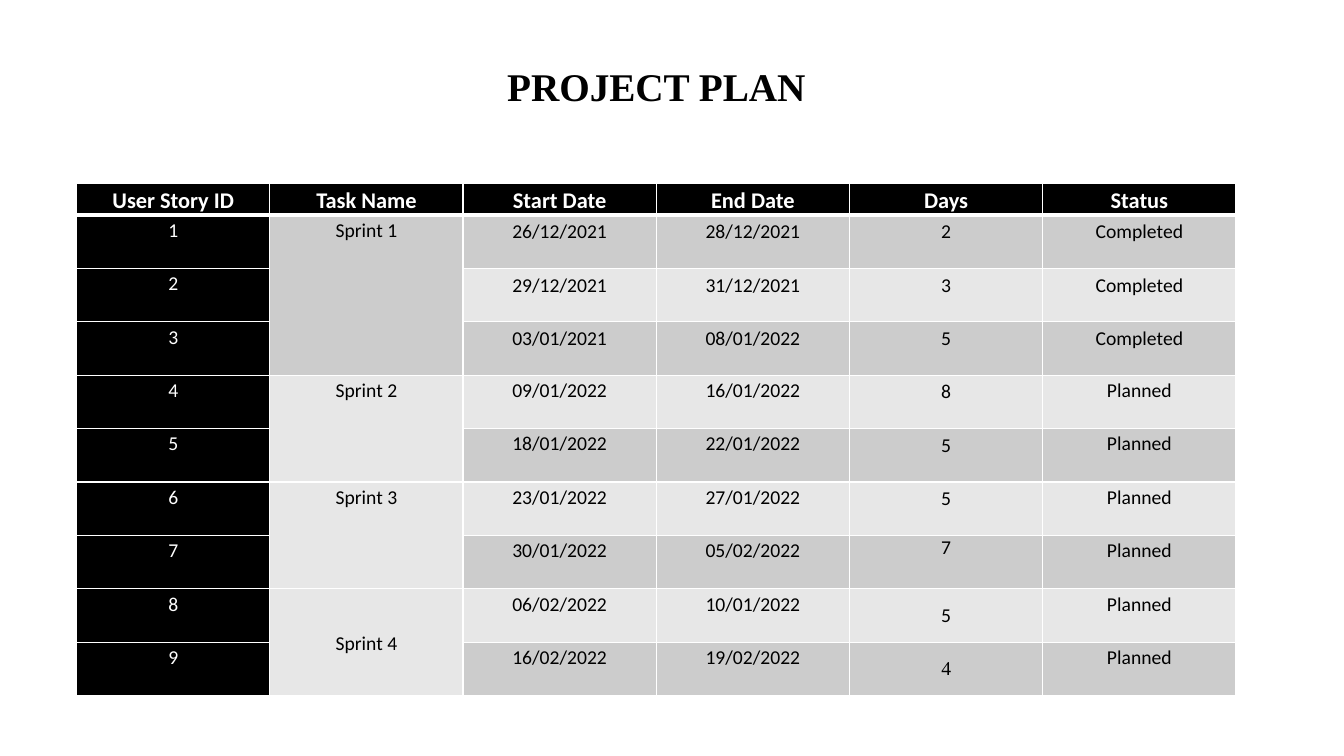
from lxml.etree import SubElement
from pptx import Presentation
from pptx.dml.color import RGBColor
from pptx.enum.text import MSO_ANCHOR, MSO_AUTO_SIZE, PP_ALIGN
from pptx.oxml import parse_xml
from pptx.oxml.ns import nsdecls, qn
from pptx.util import Inches, Pt

TITLE = "PROJECT PLAN"
HEADERS = ["User Story ID", "Task Name", "Start Date", "End Date", "Days", "Status"]
SPRINTS = {
    "Sprint 1": [
        ("26/12/2021", "28/12/2021", "2", "Completed"),
        ("29/12/2021", "31/12/2021", "3", "Completed"),
        ("03/01/2021", "08/01/2022", "5", "Completed"),
    ],
    "Sprint 2": [
        ("09/01/2022", "16/01/2022", "8", "Planned"),
        ("18/01/2022", "22/01/2022", "5", "Planned"),
    ],
    "Sprint 3": [
        ("23/01/2022", "27/01/2022", "5", "Planned"),
        ("30/01/2022", "05/02/2022", "7", "Planned"),
    ],
    "Sprint 4": [
        ("06/02/2022", "10/01/2022", "5", "Planned"),
        ("16/02/2022", "19/02/2022", "4", "Planned"),
    ],
}
COLORS = {"dark": "000000", "light": "FFFFFF", "odd": "CCCCCC", "even": "E7E7E7"}
SERIF, SANS = "Times New Roman", "Calibri"
LEFT, WIDTH = 0.76, 11.5
TITLE_TOP, TITLE_HEIGHT = 0.16, 1.45
TABLE_TOP, HEADER_HEIGHT, STORY_HEIGHT = 1.82, 0.3, 0.53
TIGHT, ROOMY, MEDIUM = (0.07, 0), (0.11, 0.05), (0.1, 0.05)
ID, TASK, START, DAYS = 0, 1, 2, 4


def rgb(name):
    return RGBColor.from_string(COLORS[name])


def write(paragraph, text, size, color, bold=False, font=SANS, spacing=None):
    paragraph.alignment = PP_ALIGN.CENTER
    paragraph.line_spacing = spacing
    run = paragraph.add_run()
    run.text = text
    run.font.size = Pt(size)
    run.font.name = font
    run.font.bold = bold
    run.font.color.rgb = rgb(color)


def set_borders(cell, row):
    """Rule the cell in white, thicker on the line under the header."""
    widths = {"lnL": 1, "lnR": 1, "lnT": 3 if row == 1 else 1, "lnB": 3 if row == 0 else 1}
    properties = cell._tc.get_or_add_tcPr()
    for index, (side, width) in enumerate(widths.items()):
        line = parse_xml(f'<a:{side} {nsdecls("a")} w="{Pt(width)}"/>')
        fill = SubElement(line, qn("a:solidFill"))
        SubElement(fill, qn("a:srgbClr"), val=COLORS["light"])
        properties.insert(index, line)


def cell_layout(row, column):
    """Return the insets and line spacing of a cell."""
    if 1 <= row <= 3 and column >= START:
        return ROOMY, None
    if column == DAYS and row > 0:
        return (MEDIUM if row <= 6 else TIGHT), None
    return TIGHT, 1.15


def fill_cell(cell, text, row, column):
    dark = row == 0 or column == ID
    cell.fill.solid()
    cell.fill.fore_color.rgb = rgb("dark" if dark else "odd" if row % 2 else "even")
    set_borders(cell, row)
    (side, edge), spacing = cell_layout(row, column)
    cell.margin_left = cell.margin_right = Inches(side)
    cell.margin_top = cell.margin_bottom = Inches(edge)
    centred = row >= 8 and column in (TASK, DAYS)
    cell.vertical_anchor = MSO_ANCHOR.MIDDLE if centred else MSO_ANCHOR.TOP
    if text:
        write(cell.text_frame.paragraphs[0], text, 16 if row == 0 else 14,
              "light" if dark else "dark", bold=row == 0,
              font=SERIF if (row, column) == (9, DAYS) else SANS, spacing=spacing)


def add_title(slide):
    title = slide.shapes.title
    title.left, title.top = Inches(LEFT), Inches(TITLE_TOP)
    title.width, title.height = Inches(WIDTH), Inches(TITLE_HEIGHT)
    frame = title.text_frame
    frame.auto_size = MSO_AUTO_SIZE.NONE
    frame.vertical_anchor = MSO_ANCHOR.MIDDLE
    write(frame.paragraphs[0], TITLE, 28, "dark", bold=True, font=SERIF, spacing=0.9)


def add_plan(slide):
    rows, spans = [HEADERS], []
    for sprint, stories in SPRINTS.items():
        spans.append((len(rows), len(rows) + len(stories) - 1))
        for index, story in enumerate(stories):
            rows.append([str(len(rows)), "" if index else sprint, *story])

    height = HEADER_HEIGHT + STORY_HEIGHT * (len(rows) - 1)
    plan = slide.shapes.add_table(len(rows), len(HEADERS), Inches(LEFT), Inches(TABLE_TOP),
                                  Inches(WIDTH), Inches(height)).table
    for column in plan.columns:
        column.width = Inches(WIDTH / len(HEADERS))
    for r, values in enumerate(rows):
        plan.rows[r].height = Inches(STORY_HEIGHT if r else HEADER_HEIGHT)
        for c, text in enumerate(values):
            fill_cell(plan.cell(r, c), text, r, c)
    for first, last in spans:
        plan.cell(first, TASK).merge(plan.cell(last, TASK))


def main():
    deck = Presentation()
    deck.slide_width, deck.slide_height = Inches(13.33), Inches(7.5)
    slide = deck.slides.add_slide(deck.slide_layouts[5])
    add_title(slide)
    add_plan(slide)
    deck.save("out.pptx")


if __name__ == "__main__":
    main()
